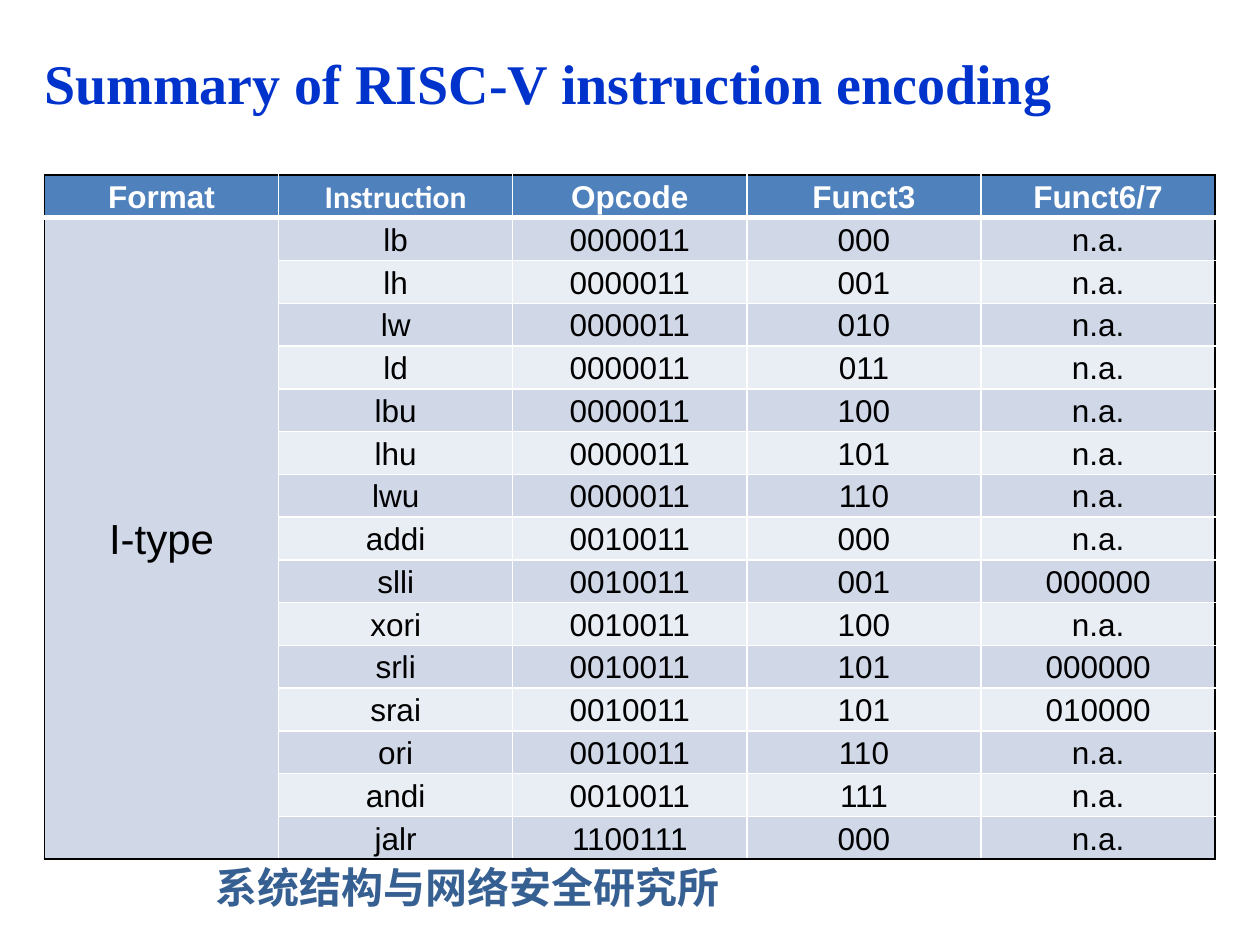
"""Builds the slide that summarises RISC-V I-type instruction encoding."""
from lxml import etree
from pptx import Presentation
from pptx.dml.color import RGBColor
from pptx.enum import text
from pptx.oxml import ns
from pptx.util import Pt

HEADINGS = ["Format", "Instruction", "Opcode", "Funct3", "Funct6/7"]
ENCODINGS = [
    ("lb", "0000011", "000", "n.a."),
    ("lh", "0000011", "001", "n.a."),
    ("lw", "0000011", "010", "n.a."),
    ("ld", "0000011", "011", "n.a."),
    ("lbu", "0000011", "100", "n.a."),
    ("lhu", "0000011", "101", "n.a."),
    ("lwu", "0000011", "110", "n.a."),
    ("addi", "0010011", "000", "n.a."),
    ("slli", "0010011", "001", "000000"),
    ("xori", "0010011", "100", "n.a."),
    ("srli", "0010011", "101", "000000"),
    ("srai", "0010011", "101", "010000"),
    ("ori", "0010011", "110", "n.a."),
    ("andi", "0010011", "111", "n.a."),
    ("jalr", "1100111", "000", "n.a."),
]


def color(value):
    return RGBColor.from_string(value)


class SlideWriter:
    black, white = "000000", "FFFFFF"
    header_fill, bands = "4F81BD", ("E9EDF4", "D0D8E8")

    def __init__(self, slide):
        self.slide = slide

    def run(self, paragraph, words, size, font, ink, bold=False):
        run = paragraph.add_run()
        run.text = words
        run.font.size, run.font.name, run.font.bold = Pt(size), font, bold
        run.font.color.rgb = color(ink)
        return run

    def title(self, words, left, top, width, height):
        title = self.slide.shapes.title
        title.left, title.top = Pt(left), Pt(top)
        title.width, title.height = Pt(width), Pt(height)
        frame = title.text_frame
        frame.auto_size = text.MSO_AUTO_SIZE.NONE
        frame.vertical_anchor = text.MSO_ANCHOR.MIDDLE
        heading = frame.paragraphs[0]
        heading.alignment = text.PP_ALIGN.LEFT
        self.run(heading, words, 32, "Times New Roman", "0033CC", True)

    def institute(self, words, left, top, width, height):
        box = self.slide.shapes.add_textbox(Pt(left), Pt(top), Pt(width), Pt(height))
        frame = box.text_frame
        frame.word_wrap = True
        frame.auto_size = text.MSO_AUTO_SIZE.SHAPE_TO_FIT_TEXT
        font = "Noto Sans CJK SC"
        name = self.run(frame.paragraphs[0], words, 24, font, "376092", True)
        east_asian = etree.SubElement(name.font._element, ns.qn("a:ea"))
        east_asian.set("typeface", font)

    def border(self, cell, side, ink, width):
        properties = cell._tc.get_or_add_tcPr()
        line = etree.SubElement(properties, ns.qn(f"a:ln{side}"), w=str(Pt(width)))
        fill = etree.SubElement(line, ns.qn("a:solidFill"))
        etree.SubElement(fill, ns.qn("a:srgbClr"), val=ink)

    def cell(self, cell, words, edges, fill, size, font, ink, bold):
        cell.margin_left = cell.margin_right = Pt(7.2)
        cell.margin_top, cell.margin_bottom = Pt(1.44), Pt(0)
        cell.vertical_anchor = text.MSO_ANCHOR.MIDDLE
        for side, (edge_ink, width) in edges.items():
            self.border(cell, side, edge_ink, width)
        cell.fill.solid()
        cell.fill.fore_color.rgb = color(fill)
        paragraph = cell.text_frame.paragraphs[0]
        paragraph.alignment = text.PP_ALIGN.CENTER
        self.run(paragraph, words, size, font, ink, bold)

    def encoding_table(self, instruction_format, left, top, width, height):
        rows, columns = len(ENCODINGS) + 1, len(HEADINGS)
        table = self.slide.shapes.add_table(
            rows, columns, Pt(left), Pt(top), Pt(width), Pt(height)).table
        for column in table.columns:
            column.width = Pt(width / columns)
        for row in table.rows:
            row.height = Pt(height / rows)
        table.cell(1, 0).merge(table.cell(rows - 1, 0))
        outer, inner, rule = (self.black, 1), (self.white, 1), (self.white, 3)
        contents = [HEADINGS] + [(instruction_format, *row) for row in ENCODINGS]
        for r, row in enumerate(contents):
            for c, words in enumerate(row):
                target = table.cell(r, c)
                if target.is_spanned:
                    continue
                header = r == 0
                last = r == rows - 1 or target.is_merge_origin
                edges = {
                    "L": outer if c == 0 else inner,
                    "R": outer if c == columns - 1 else inner,
                    "T": outer if header else rule if r == 1 else inner,
                    "B": rule if header else outer if last else inner,
                }
                self.cell(
                    target, words, edges,
                    self.header_fill if header else self.bands[r % 2],
                    24 if target.is_merge_origin else 18,
                    "Calibri" if words == "Instruction" else "Arial",
                    self.white if header else self.black, header)


def main():
    deck = Presentation()
    deck.slide_width, deck.slide_height = Pt(720), Pt(540)
    writer = SlideWriter(deck.slides.add_slide(deck.slide_layouts[5]))
    writer.institute("系统结构与网络安全研究所", 116, 489, 380, 36)
    writer.title("Summary of RISC-V instruction encoding", 18, 9.4, 620, 75)
    writer.encoding_table("I-type", 25.4, 100, 669, 391)
    deck.save("out.pptx")


if __name__ == "__main__":
    main()
